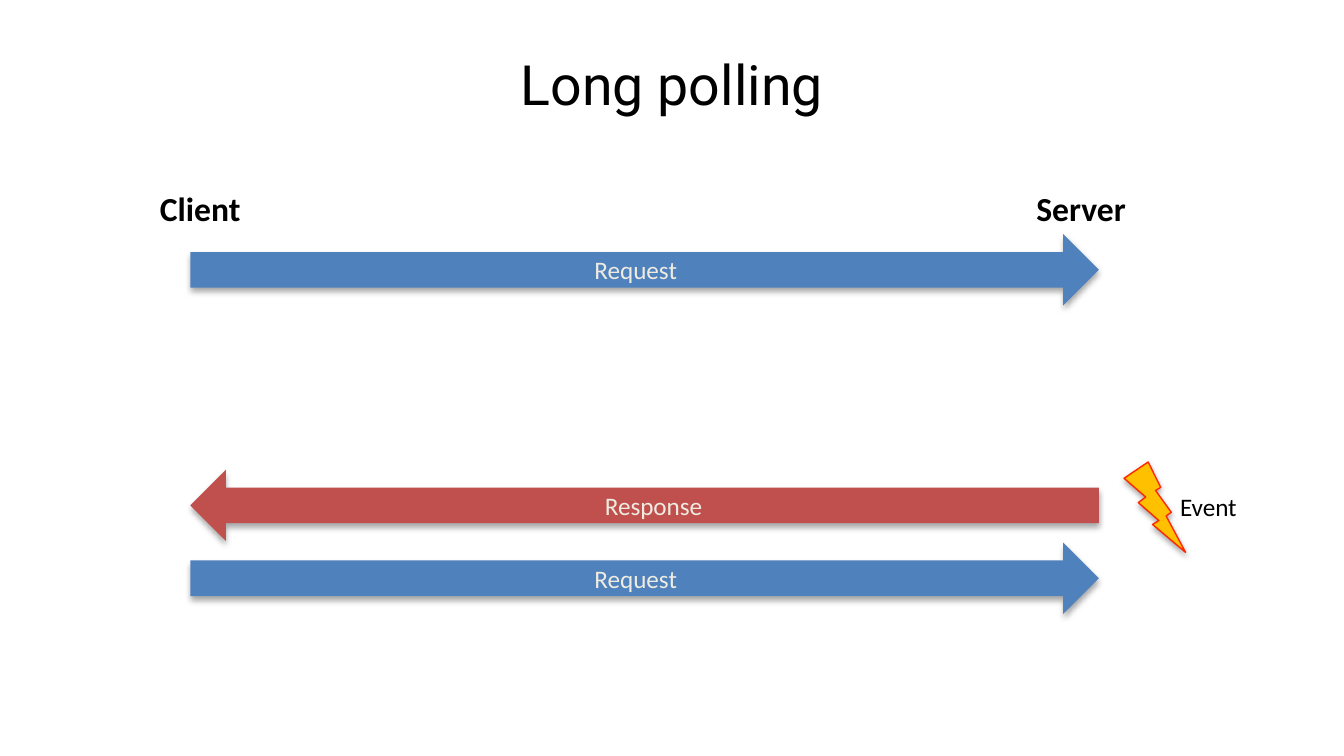
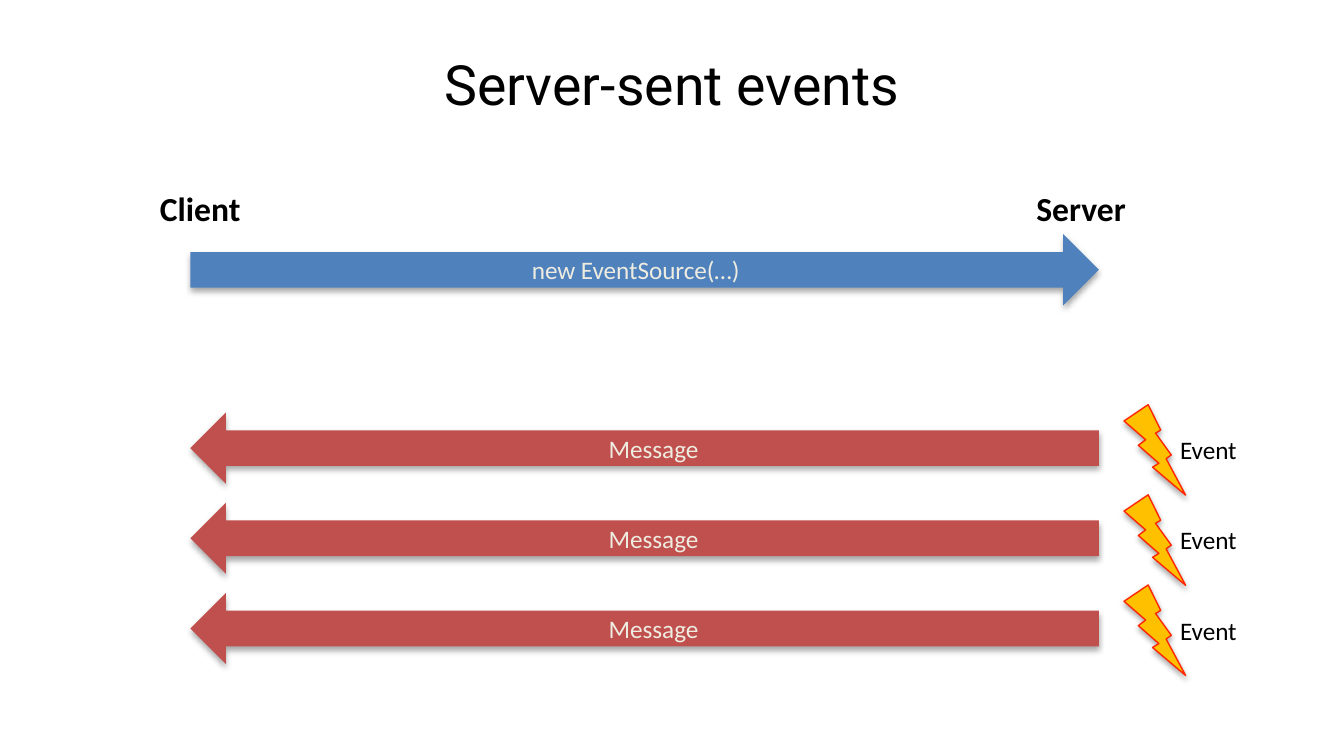
from pptx import Presentation
from pptx.dml.color import RGBColor
from pptx.enum.shapes import MSO_SHAPE
from pptx.enum.text import MSO_ANCHOR, MSO_AUTO_SIZE, PP_ALIGN
from pptx.oxml import parse_xml
from pptx.util import Pt

COLOURS = {
    "text": "000000",
    "arrow text": "EEECE1",
    "to server": "4F81BD",
    "to client": "C0504D",
    "bolt": "FFC000",
    "bolt line": "FF2600",
}
SHADOW = (
    '<a:effectLst xmlns:a="http://schemas.openxmlformats.org/drawingml/2006/main">'
    '<a:outerShdw blurRad="40000" dist="23000" dir="5400000" rotWithShape="0">'
    '<a:srgbClr val="000000"><a:alpha val="35000"/></a:srgbClr>'
    "</a:outerShdw></a:effectLst>"
)
ARROW_SHAPES = {"to server": MSO_SHAPE.RIGHT_ARROW, "to client": MSO_SHAPE.LEFT_ARROW}
ARROW_LEFT, ARROW_WIDTH, ARROW_HEIGHT = 102, 486.7, 38.2
FIRST_TOP = 125.5
MESSAGE_TOP, MESSAGE_STEP = 221, 48.3

# Each arrow: top, direction, label, whether an event triggers it
SLIDES = {
    "Long polling": [
        (FIRST_TOP, "to server", "Request", False),
        (251.7, "to client", "Response", True),
        (290.7, "to server", "Request", False),
    ],
    "Server-sent events": [
        (FIRST_TOP, "to server", "new EventSource(…)", False),
        *[(MESSAGE_TOP + MESSAGE_STEP * row, "to client", "Message", True) for row in range(3)],
    ],
}


def add_label(shapes, text, left, top, width, height, size, font="Calibri", bold=False):
    box = shapes.add_textbox(Pt(left), Pt(top), Pt(width), Pt(height))
    frame = box.text_frame
    frame.margin_left = frame.margin_right = frame.margin_top = frame.margin_bottom = 0
    frame.word_wrap = False
    frame.auto_size = MSO_AUTO_SIZE.SHAPE_TO_FIT_TEXT
    para = frame.paragraphs[0]
    para.text = text
    para.font.name, para.font.size, para.font.bold = font, Pt(size), bold
    para.font.color.rgb = RGBColor.from_string(COLOURS["text"])
    return box


def add_shadowed(shapes, kind, left, top, width, height, fill):
    shape = shapes.add_shape(kind, Pt(left), Pt(top), Pt(width), Pt(height))
    shape.fill.solid()
    shape.fill.fore_color.rgb = RGBColor.from_string(COLOURS[fill])
    shape.line.fill.background()
    shape.element.spPr.append(parse_xml(SHADOW))
    return shape


deck = Presentation()
deck.slide_width, deck.slide_height = Pt(720), Pt(405)

for title, arrows in SLIDES.items():
    page = deck.slides.add_slide(deck.slide_layouts[6])

    heading = add_label(page.shapes, title, 27, 27, 666, 37.8, 29.7, font="Roboto")
    heading.text_frame.word_wrap = True
    heading.text_frame.auto_size = MSO_AUTO_SIZE.NONE
    heading.text_frame.paragraphs[0].alignment = PP_ALIGN.CENTER

    for name, left, width in (("Client", 85.7, 43.8), ("Server", 555.2, 48.5)):
        add_label(page.shapes, name, left, 100.6, width, 21.6, 18, bold=True)

    for top, direction, label, has_event in arrows:
        arrow = add_shadowed(page.shapes, ARROW_SHAPES[direction],
                             ARROW_LEFT, top, ARROW_WIDTH, ARROW_HEIGHT, direction)
        arrow.text_frame.vertical_anchor = MSO_ANCHOR.MIDDLE
        para = arrow.text_frame.paragraphs[0]
        para.text = label
        para.alignment = PP_ALIGN.CENTER
        para.font.name, para.font.size = "Calibri", Pt(13.5)
        para.font.color.rgb = RGBColor.from_string(COLOURS["arrow text"])

        if has_event:
            event = page.shapes.add_group_shape()
            bolt = add_shadowed(event.shapes, MSO_SHAPE.LIGHTNING_BOLT,
                                602.2, top - 4.2, 33, 48.5, "bolt")
            bolt.line.color.rgb = RGBColor.from_string(COLOURS["bolt line"])
            bolt.line.width = Pt(0.75)
            add_label(event.shapes, "Event", 632.2, top + 11.8, 31, 16.5, 13.5)

deck.save("out.pptx")
